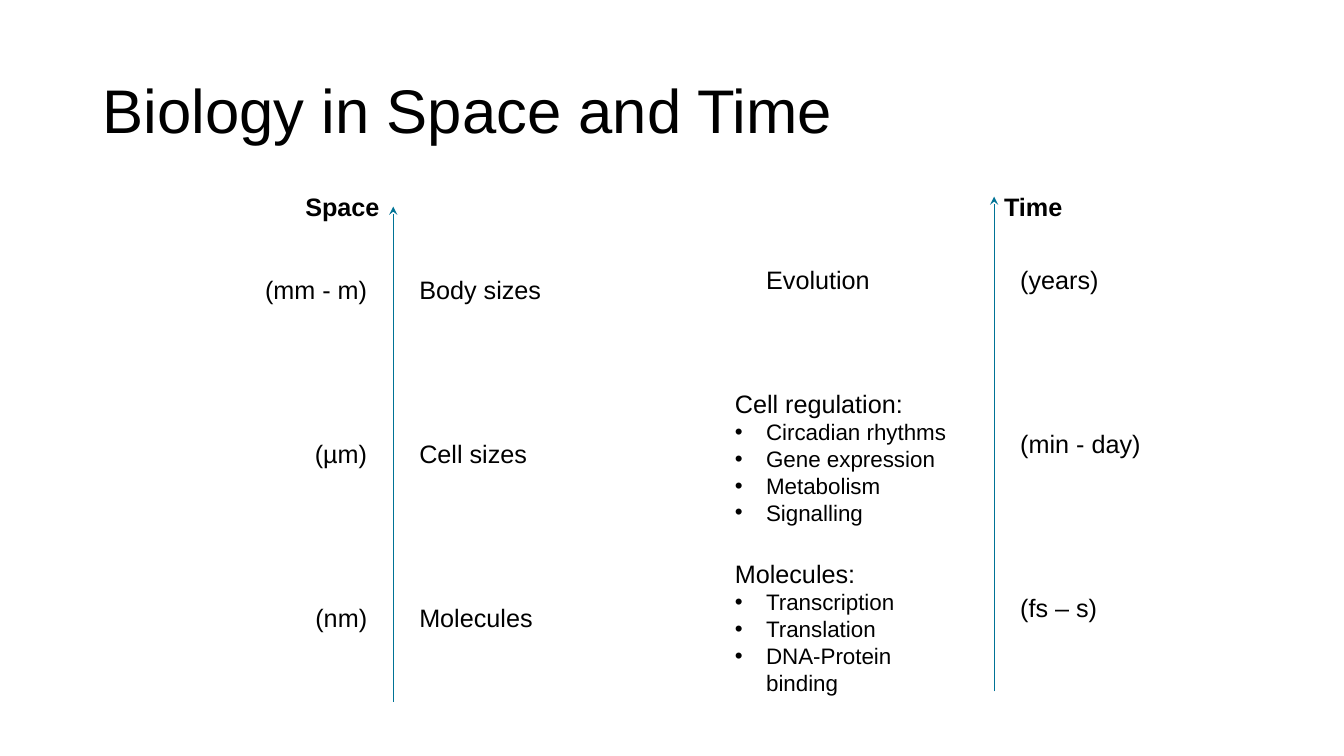
from lxml import etree
from pptx import Presentation
from pptx.dml.color import RGBColor
from pptx.enum.shapes import MSO_CONNECTOR
from pptx.enum.text import MSO_ANCHOR, MSO_AUTO_SIZE, PP_ALIGN
from pptx.oxml.ns import qn
from pptx.util import Inches, Pt

LEFT, RIGHT = PP_ALIGN.LEFT, PP_ALIGN.RIGHT
MIDDLE = MSO_ANCHOR.MIDDLE
GROW = MSO_AUTO_SIZE.SHAPE_TO_FIT_TEXT
STRAIGHT = MSO_CONNECTOR.STRAIGHT
BLACK, TEAL = "000000", "007396"
ROW_STEP = 1.63


def rgb(color):
    return RGBColor.from_string(color)


def write(tf, text, size=18, bold=False, align=LEFT, bullet=False, first=True):
    p = tf.paragraphs[0] if first else tf.add_paragraph()
    p.alignment = align
    r = p.add_run()
    r.text = text
    r.font.name = "Arial"
    r.font.size = Pt(size)
    r.font.bold = bold
    r.font.color.rgb = rgb(BLACK)
    if bullet:
        pPr = p._p.get_or_add_pPr()
        pPr.set("marL", str(Inches(0.31)))
        pPr.set("indent", str(-Inches(0.31)))
        etree.SubElement(pPr, qn("a:buFont")).set("typeface", "Arial")
        etree.SubElement(pPr, qn("a:buChar")).set("char", "•")
    return p


prs = Presentation()
prs.slide_width, prs.slide_height = Inches(13.33), Inches(7.5)
s = prs.slides.add_slide(prs.slide_layouts[5])

title = s.shapes.title
title.left, title.top = Inches(0.92), Inches(0.4)
title.width, title.height = Inches(11.5), Inches(1.45)
title.text_frame.vertical_anchor = MIDDLE
p = write(title.text_frame, "Biology in Space and Time", size=44)
p.line_spacing = 0.9

axes = [
    {
        "name": "Space", "name_left": 2.93, "x": 3.9, "top": 2.05,
        "columns": [
            (2.33, 1.41, RIGHT, ["(mm - m)", "(µm)", "(nm)"]),
            (4.06, 2.19, LEFT, ["Body sizes", "Cell sizes", "Molecules"]),
        ],
        "lists": [],
    },
    {
        "name": "Time", "name_left": 9.86, "x": 9.86, "top": 1.95,
        "columns": [
            (7.5, 2.19, LEFT, ["Evolution"]),
            (10.02, 2.19, LEFT, ["(years)", "(min - day)", "(fs – s)"]),
        ],
        "lists": [
            (3.8, "Cell regulation:",
             ["Circadian rhythms", "Gene expression", "Metabolism", "Signalling"]),
            (5.49, "Molecules:",
             ["Transcription", "Translation", "DNA-Protein binding"]),
        ],
    },
]

for axis in axes:
    x, top = Inches(axis["x"]), axis["top"]
    arrow = s.shapes.add_connector(
        STRAIGHT, x, Inches(top + 4.91), x, Inches(top))
    arrow.line.color.rgb = rgb(TEAL)
    arrow.line.width = Pt(0.5)
    ln = arrow.line._get_or_add_ln()
    etree.SubElement(ln, qn("a:tailEnd")).set("type", "stealth")
    etree.SubElement(arrow._element.spPr, qn("a:effectLst"))

    boxes = [(axis["name_left"], 1.85, 0.97, 0.4, LEFT, True, axis["name"], [])]
    for left, width, align, labels in axis["columns"]:
        for row, label in enumerate(labels):
            boxes.append((left, top + 0.62 + row * ROW_STEP, width, 0.4,
                          align, False, label, []))
    for list_top, heading, items in axis["lists"]:
        boxes.append((7.19, list_top, 2.5, 1.48, LEFT, False, heading, items))

    for left, box_top, width, height, align, bold, text, items in boxes:
        sp = s.shapes.add_textbox(
            Inches(left), Inches(box_top), Inches(width), Inches(height))
        tf = sp.text_frame
        tf.word_wrap = True
        tf.auto_size = GROW
        write(tf, text, bold=bold, align=align)
        for item in items:
            write(tf, item, size=16, bullet=True, first=False)

prs.save("out.pptx")
